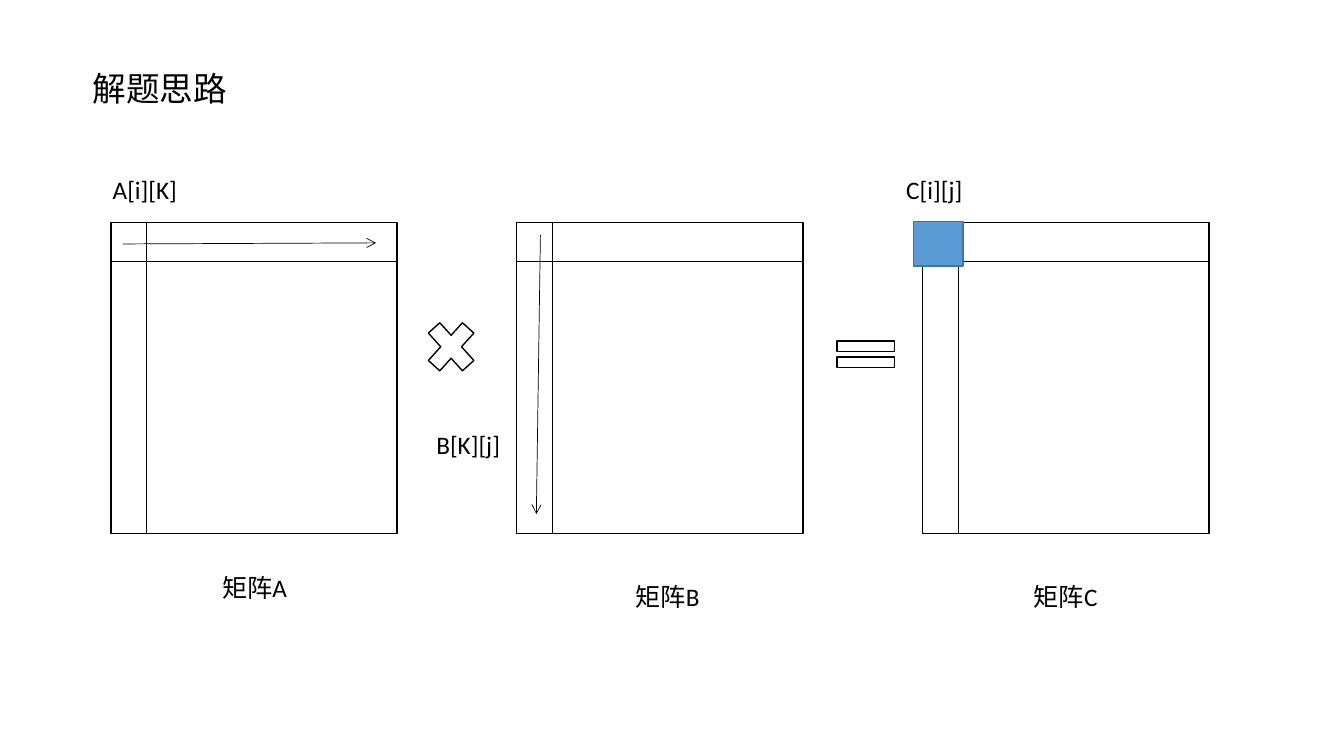
from typing import NamedTuple

from lxml import etree
from pptx import Presentation
from pptx import util as u
from pptx.dml.color import RGBColor
from pptx.enum import shapes, text
from pptx.oxml.ns import qn

BLACK = RGBColor(0x00, 0x00, 0x00)
WHITE = RGBColor(0xFF, 0xFF, 0xFF)
CELL_BLUE = RGBColor(0x5B, 0x9B, 0xD5)
CELL_EDGE = RGBColor(0x43, 0x73, 0x9E)
FONT = "Calibri"
SLIDE_WIDTH, SLIDE_HEIGHT = u.Inches(13.33), u.Inches(7.5)

Kind = shapes.MSO_SHAPE
LEFT, CENTER = text.PP_ALIGN.LEFT, text.PP_ALIGN.CENTER


class Area(NamedTuple):
    """A rectangle in percent of the slide's width and height."""
    left: float
    top: float
    width: float
    height: float


class Figure(NamedTuple):
    kind: Kind
    area: Area
    fill: RGBColor = WHITE
    edge: RGBColor = BLACK


class Label(NamedTuple):
    words: str
    area: Area
    align: text.PP_ALIGN = LEFT


class Arrow(NamedTuple):
    """Start and end points in percent of the slide's width and height."""
    start: tuple[float, float]
    end: tuple[float, float]


MATRIX_LEFT, MATRIX_PITCH = 8.25, 30.2
LABEL_HEIGHT, INDEX_WIDTH = 5.33, 22.43

TITLE = Label("解题思路", Area(6.15, 8.27, 87.1, 6.67))
MATRICES = [
    Figure(Kind.FLOWCHART_INTERNAL_STORAGE,
           Area(MATRIX_LEFT + column * MATRIX_PITCH, 29.47, 21.3, 41.07))
    for column in range(3)
]
OPERATORS = [
    Figure(Kind.MATH_MULTIPLY, Area(31.13, 41.07, 4.88, 9.6)),
    Figure(Kind.MATH_EQUAL, Area(61.52, 43.87, 5.78, 6)),
]
RESULT_CELL = Figure(Kind.RECTANGLE, Area(67.97, 29.33, 3.68, 5.87),
                     CELL_BLUE, CELL_EDGE)
ARROWS = [
    Arrow((9.15, 32.27), (27.98, 32.13)),
    Arrow((40.21, 31.07), (39.91, 68)),
]
LABELS = [
    Label("矩阵A", Area(12.15, 75.07, 13.58, LABEL_HEIGHT), CENTER),
    Label("矩阵B", Area(43.89, 76.27, 11.55, LABEL_HEIGHT), CENTER),
    Label("矩阵C", Area(74.04, 76.27, 10.5, LABEL_HEIGHT), CENTER),
    Label("A[i][K]", Area(7.65, 22.4, INDEX_WIDTH, LABEL_HEIGHT)),
    Label("B[K][j]", Area(31.73, 56.13, INDEX_WIDTH, LABEL_HEIGHT)),
    Label("C[i][j]", Area(66.69, 22.4, INDEX_WIDTH, LABEL_HEIGHT)),
]


def across(percent: float) -> int:
    return round(SLIDE_WIDTH * percent / 100)


def down(percent: float) -> int:
    return round(SLIDE_HEIGHT * percent / 100)


def place(area: Area) -> tuple[int, int, int, int]:
    return (across(area.left), down(area.top),
            across(area.width), down(area.height))


def write(box, label: Label, size: int) -> None:
    """Fill a text box or placeholder with one formatted line."""
    frame = box.text_frame
    frame.text = label.words
    frame.word_wrap = True
    frame.auto_size = text.MSO_AUTO_SIZE.SHAPE_TO_FIT_TEXT
    frame.vertical_anchor = text.MSO_ANCHOR.TOP
    para = frame.paragraphs[0]
    para.alignment = label.align
    para.font.name = FONT
    para.font.size = u.Pt(size)
    para.font.color.rgb = BLACK


def add_title(page, label: Label) -> None:
    title = page.shapes.title
    title.left, title.top, title.width, title.height = place(label.area)
    write(title, label, 24)


def add_figure(page, figure: Figure) -> None:
    shape = page.shapes.add_shape(figure.kind, *place(figure.area))
    shape.shadow.inherit = False
    shape.fill.solid()
    shape.fill.fore_color.rgb = figure.fill
    shape.line.color.rgb = figure.edge
    shape.line.width = u.Pt(1)


def add_arrow(page, arrow: Arrow) -> None:
    (x1, y1), (x2, y2) = arrow.start, arrow.end
    line = page.shapes.add_connector(
        shapes.MSO_CONNECTOR.STRAIGHT, across(x1), down(y1), across(x2), down(y2))
    line.line.color.rgb = BLACK
    line.line.width = u.Pt(0.5)
    etree.SubElement(line.line._get_or_add_ln(), qn("a:tailEnd"), type="arrow")
    etree.SubElement(line._element.spPr, qn("a:effectLst"))


def main() -> None:
    deck = Presentation()
    deck.slide_width, deck.slide_height = SLIDE_WIDTH, SLIDE_HEIGHT
    page = deck.slides.add_slide(deck.slide_layouts.get_by_name("Title Only"))
    add_title(page, TITLE)
    for figure in MATRICES + OPERATORS:
        add_figure(page, figure)
    for arrow in ARROWS:
        add_arrow(page, arrow)
    add_figure(page, RESULT_CELL)
    for label in LABELS:
        write(page.shapes.add_textbox(*place(label.area)), label, 18)
    deck.save("out.pptx")


if __name__ == "__main__":
    main()
